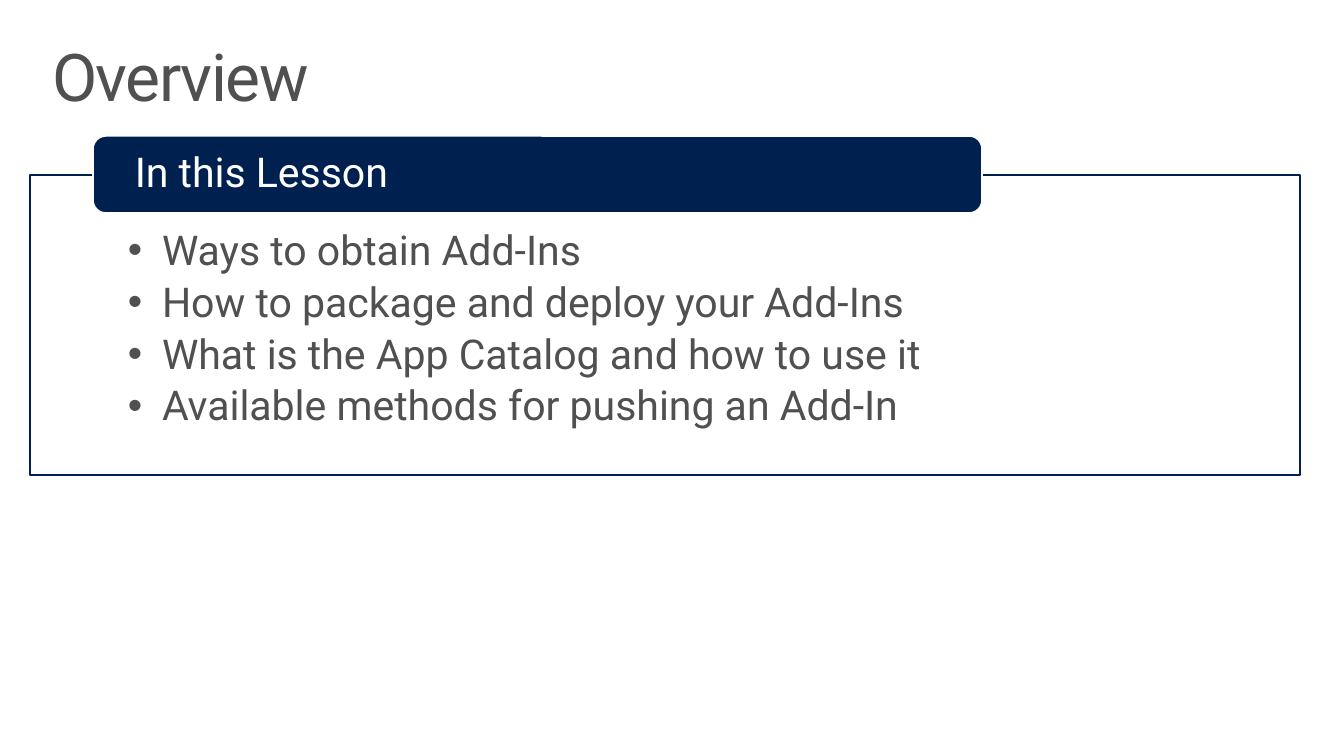
from dataclasses import dataclass

from lxml.etree import SubElement
from pptx import Presentation
from pptx.dml.color import RGBColor
from pptx.enum.shapes import MSO_SHAPE
from pptx.enum.text import MSO_ANCHOR, MSO_AUTO_SIZE, PP_ALIGN
from pptx.oxml.ns import qn
from pptx.util import Pt

TITLE = "Overview"
HEADING = "In this Lesson"
TOPICS = [
    "Ways to obtain Add-Ins",
    "How to package and deploy your Add-Ins",
    "What is the App Catalog and how to use it",
    "Available methods for pushing an Add-In",
]


@dataclass(frozen=True)
class Theme:
    font: str = "Roboto"
    navy: RGBColor = RGBColor(0x00, 0x20, 0x50)
    gray: RGBColor = RGBColor(0x50, 0x50, 0x50)
    white: RGBColor = RGBColor(0xFF, 0xFF, 0xFF)
    title_size: float = 35.3
    text_size: float = 22
    line_width: float = 0.85


THEME = Theme()
EMU_PER_PX = 914400 / 134.4

# Left, top, width, height in px
TITLE_BOX = (30, 32, 1284, 99)
FRAME_BOX = (30, 175, 1270, 300)
HEADING_BOX = (93, 136, 889, 77)
BULLET_INDENT = 34


def px(length):
    return round(length * EMU_PER_PX)


def place(shape, box):
    shape.left, shape.top, shape.width, shape.height = map(px, box)


def add_box(slide, kind, box, fill, line):
    shape = slide.shapes.add_shape(kind, *map(px, box))
    shape.shadow.inherit = False
    shape.fill.solid()
    shape.fill.fore_color.rgb = fill
    shape.line.color.rgb = line
    shape.line.width = Pt(THEME.line_width)
    return shape


def write(shape, lines, *, size, color, insets, anchor=MSO_ANCHOR.TOP,
          space_after=0, spacing=None, bullet=None, level=0):
    """Fill a shape with one paragraph per line; insets are left, top, right, bottom."""
    frame = shape.text_frame
    frame.word_wrap = True
    frame.auto_size = MSO_AUTO_SIZE.NONE
    frame.vertical_anchor = anchor
    (frame.margin_left, frame.margin_top,
     frame.margin_right, frame.margin_bottom) = map(px, insets)
    for index, line in enumerate(lines):
        paragraph = frame.add_paragraph() if index else frame.paragraphs[0]
        paragraph.alignment = PP_ALIGN.LEFT
        paragraph.level = level
        paragraph.line_spacing = 0.9
        paragraph.space_before = Pt(0)
        paragraph.space_after = Pt(space_after)
        if bullet:
            properties = paragraph._p.get_or_add_pPr()
            properties.set("marL", str(px(BULLET_INDENT)))
            properties.set("indent", str(-px(BULLET_INDENT)))
            SubElement(properties, qn("a:buFont"), typeface="Arial")
            SubElement(properties, qn("a:buChar"), char=bullet)
        run = paragraph.add_run()
        run.text = line
        run.font.name = THEME.font
        run.font.size = Pt(size)
        run.font.color.rgb = color
        if spacing is not None:
            run.font._element.set("spc", str(round(spacing * 100)))


def main():
    deck = Presentation()
    deck.slide_width, deck.slide_height = px(1344), px(756)
    slide = deck.slides.add_slide(deck.slide_layouts[1])
    title, topics = slide.shapes.title, slide.placeholders[1]

    place(title, TITLE_BOX)
    write(title, [TITLE], size=THEME.title_size, color=THEME.gray,
          insets=(22, 13, 22, 13), spacing=-0.8)

    frame = add_box(slide, MSO_SHAPE.RECTANGLE, FRAME_BOX, THEME.white, THEME.navy)
    fill_color = frame.element.spPr.find(qn("a:solidFill"))[0]
    SubElement(fill_color, qn("a:alpha"), val="90000")
    topics.element.addprevious(frame.element)  # the frame lies behind the list

    place(topics, FRAME_BOX)
    write(topics, TOPICS, size=THEME.text_size, color=THEME.gray,
          insets=(98, 55, 98, 23), space_after=4, bullet="•", level=1)

    heading = add_box(slide, MSO_SHAPE.ROUNDED_RECTANGLE, HEADING_BOX,
                      THEME.navy, THEME.white)
    write(heading, [HEADING], size=THEME.text_size, color=THEME.white,
          insets=(38, 4, 38, 4), anchor=MSO_ANCHOR.MIDDLE)

    deck.save("out.pptx")


if __name__ == "__main__":
    main()
